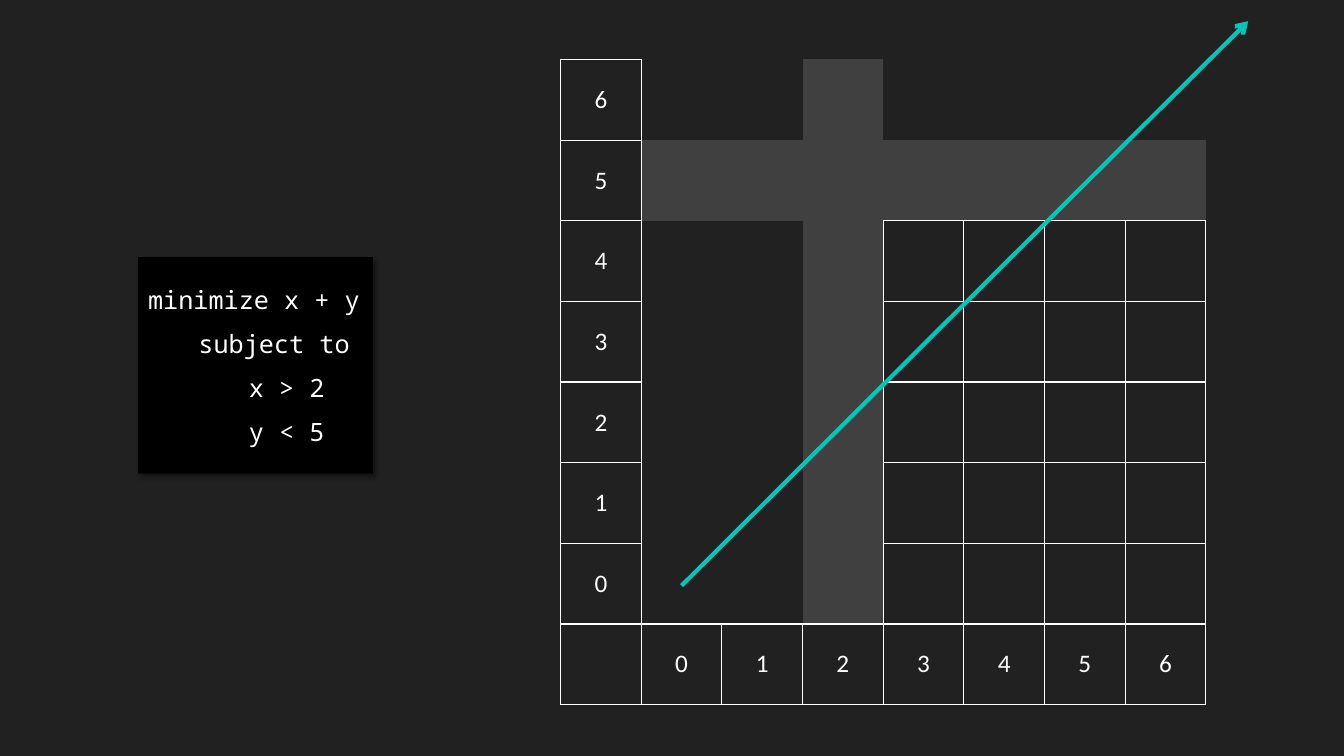
"""Build a slide showing the feasible region of a small constrained minimisation."""
from lxml.etree import SubElement
from pptx import Presentation
from pptx.dml.color import RGBColor
from pptx.enum.shapes import MSO_CONNECTOR, MSO_SHAPE
from pptx.enum.text import MSO_ANCHOR, PP_ALIGN
from pptx.oxml.ns import qn
from pptx.util import Inches, Pt

BACKGROUND = RGBColor(0x21, 0x21, 0x21)
BOUNDARY = RGBColor(0x40, 0x40, 0x40)
WHITE = RGBColor(0xFF, 0xFF, 0xFF)
BLACK = RGBColor(0, 0, 0)
TEAL = RGBColor(0x00, 0xC6, 0xBB)

N = 8
CELL = 0.8
GRID_LEFT, GRID_TOP = 5.56, 0.59
SIDES = {"a:lnL": (0, -1), "a:lnR": (0, 1), "a:lnT": (-1, 0), "a:lnB": (1, 0)}


def add_xml(parent, tag, **attrs):
    return SubElement(parent, qn(tag), {k: str(v) for k, v in attrs.items()})


def is_lined(row, col):
    on_axis = col == 0 or row == N - 1
    feasible = col > 3 and row > 1
    return on_axis or feasible


prs = Presentation()
prs.slide_width, prs.slide_height = Inches(13.33), Inches(7.5)
s = prs.slides.add_slide(prs.slide_layouts[6])
s.background.fill.solid()
s.background.fill.fore_color.rgb = BACKGROUND

size = Inches(N * CELL)
table = s.shapes.add_table(N, N, Inches(GRID_LEFT), Inches(GRID_TOP), size, size).table
table.first_row = table.horz_banding = False
for i in range(N):
    table.columns[i].width = table.rows[i].height = Inches(CELL)

for row in range(N):
    for col in range(N):
        cell = table.cell(row, col)
        cell.vertical_anchor = MSO_ANCHOR.MIDDLE
        tcPr = cell._tc.get_or_add_tcPr()
        for tag, (dr, dc) in SIDES.items():
            ln = add_xml(tcPr, tag, w=Pt(1))
            if is_lined(row, col) or is_lined(row + dr, col + dc):
                add_xml(add_xml(ln, "a:solidFill"), "a:srgbClr", val=WHITE)
            else:
                add_xml(ln, "a:noFill")
        if not is_lined(row, col) and (row == 1 or col == 3):
            cell.fill.solid()
            cell.fill.fore_color.rgb = BOUNDARY
        else:
            cell.fill.background()
        p = cell.text_frame.paragraphs[0]
        if col == 0 and row < N - 1:
            p.text = str(N - 2 - row)
        elif row == N - 1 and col > 0:
            p.text = str(col - 1)
        p.alignment = PP_ALIGN.CENTER
        p.font.name, p.font.size = "Calibri", Pt(18)
        p.font.color.rgb = WHITE

sp = s.shapes.add_shape(MSO_SHAPE.RECTANGLE, Inches(1.37), Inches(2.55), Inches(2.33), Inches(2.15))
sp.fill.solid()
sp.fill.fore_color.rgb = BLACK
sp.line.fill.background()
sp.shadow.inherit = False
effects = sp._element.spPr.find(qn("a:effectLst"))
shadow = add_xml(effects, "a:outerShdw", blurRad=Pt(4), dist=Pt(3), dir=45 * 60000, algn="tl", rotWithShape=0)
add_xml(add_xml(shadow, "a:srgbClr", val=BLACK), "a:alpha", val=40000)

tf = sp.text_frame
tf.word_wrap = True
tf.vertical_anchor = MSO_ANCHOR.MIDDLE
program = [("minimize x + y", 0), ("subject to", 1), ("x > 2", 2), ("y < 5", 2)]
for i, (text, depth) in enumerate(program):
    p = tf.add_paragraph() if i else tf.paragraphs[0]
    p.text = text
    p.alignment = PP_ALIGN.LEFT
    pPr = p._p.get_or_add_pPr()
    pPr.set("marL", str(Inches(0.5 * depth)))
    add_xml(add_xml(pPr, "a:spcBef"), "a:spcPct", val=20000)
    p.space_after = Pt(6)
    p.font.name, p.font.size = "Noto Sans Mono", Pt(18)
    p.font.color.rgb = WHITE

arrow = s.shapes.add_connector(MSO_CONNECTOR.STRAIGHT, Inches(6.76), Inches(5.81), Inches(12.38), Inches(0.21))
arrow.line.color.rgb = TEAL
arrow.line.width = Pt(3)
add_xml(arrow.line._get_or_add_ln(), "a:tailEnd", type="arrow")
add_xml(arrow._element.spPr, "a:effectLst")

prs.save("out.pptx")
